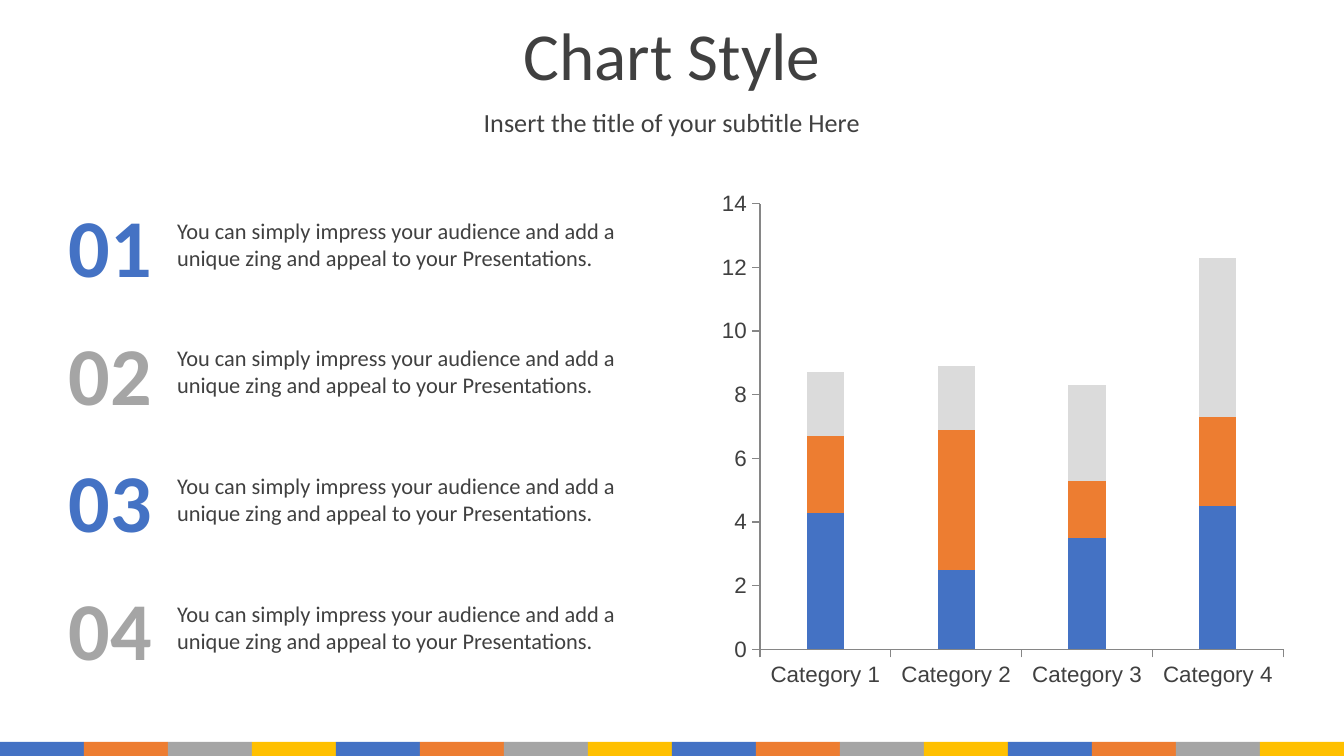
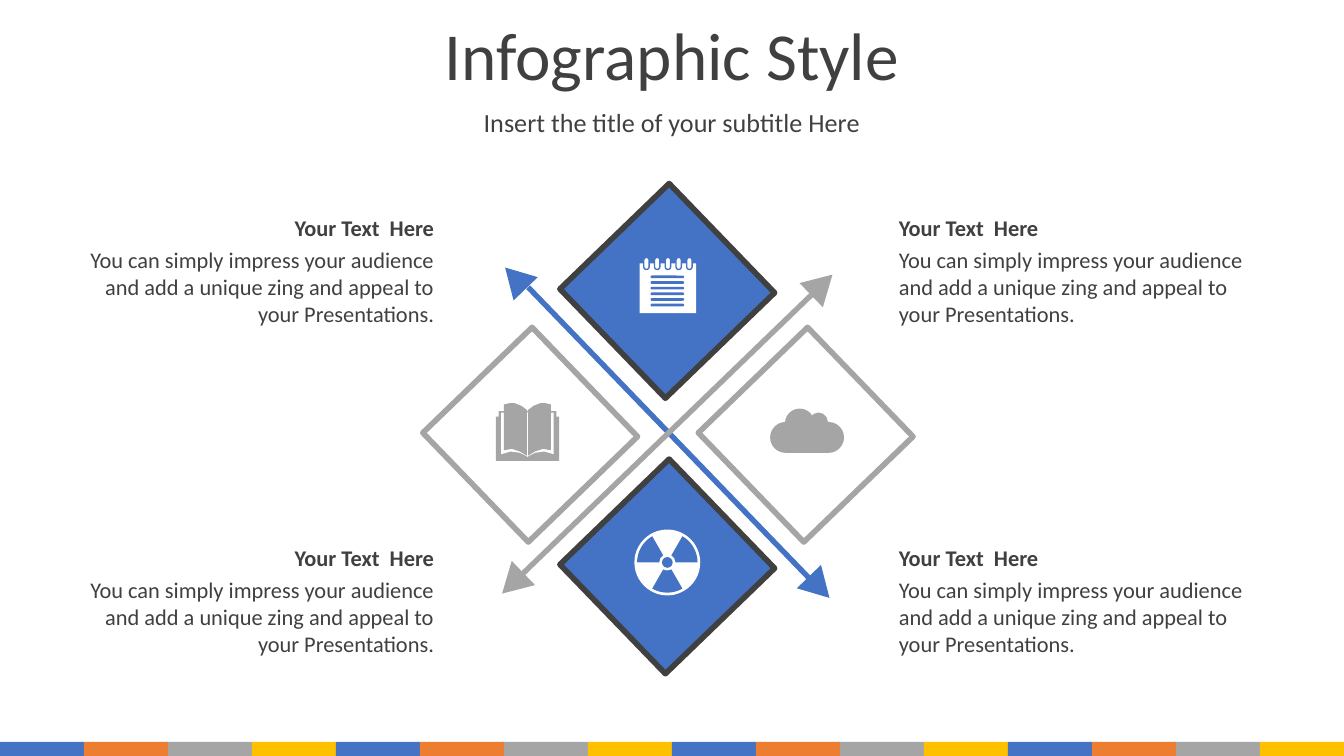
from lxml import etree
from pptx import Presentation
from pptx.chart.data import CategoryChartData
from pptx.dml.color import RGBColor
from pptx.enum.chart import XL_CHART_TYPE as ChartType, XL_TICK_MARK as TickMark
from pptx.enum.shapes import MSO_SHAPE as Preset
from pptx.enum.text import MSO_ANCHOR as Anchor, MSO_AUTO_SIZE as AutoSize, PP_ALIGN as Align
from pptx.oxml.ns import qn
from pptx.util import Inches, Pt

COLORS = {
    "blue": "4472C4", "orange": "ED7D31", "gray": "A5A5A5", "yellow": "FFC000",
    "dark": "404040", "pale": "DBDBDB", "axis": "868686", "white": "FFFFFF",
}
FONT = "Calibri"
BODY = "You can simply impress your audience and add a unique zing and appeal to your Presentations."


def add_text(slide, box, text, size=12, color="dark", bold=False,
             align=Align.LEFT, anchor=Anchor.MIDDLE):
    shape = slide.shapes.add_textbox(*map(Inches, box))
    frame = shape.text_frame
    frame.word_wrap = True
    frame.auto_size = AutoSize.NONE
    frame.vertical_anchor = anchor
    paragraph = frame.paragraphs[0]
    paragraph.text = text
    paragraph.alignment = align
    paragraph.font.name = FONT
    paragraph.font.size = Pt(size)
    paragraph.font.bold = bold
    paragraph.font.color.rgb = RGBColor.from_string(COLORS[color])
    return paragraph


def add_shape(slide, preset, box, fill, line=None, width=3, rotation=0):
    shape = slide.shapes.add_shape(preset, *map(Inches, box))
    shape.shadow.inherit = False
    shape.rotation = rotation
    shape.fill.solid()
    shape.fill.fore_color.rgb = RGBColor.from_string(COLORS[fill])
    if line:
        shape.line.color.rgb = RGBColor.from_string(COLORS[line])
        shape.line.width = Pt(width)
    else:
        shape.line.fill.background()
    return shape


presentation = Presentation()
presentation.slide_width = Inches(10)
presentation.slide_height = Inches(5.625)

# Shared title, subtitle and footer band
slides = []
for title in ("Chart Style", "Infographic Style"):
    slide = presentation.slides.add_slide(presentation.slide_layouts[6])
    slides.append(slide)
    for index in range(16):
        color = ("blue", "orange", "gray", "yellow")[index % 4]
        add_shape(slide, Preset.RECTANGLE, (index * 0.625, 5.52, 0.625, 0.11), color)
    for box, text, size, spacing in (
        ((0, 0.14, 10, 0.63), title, 36, 0.8),
        ((0, 0.77, 10, 0.31), "Insert the title of your subtitle Here", 14, 0.9),
    ):
        paragraph = add_text(slide, box, text, size, align=Align.CENTER)
        paragraph.line_spacing = spacing
        paragraph.space_before = Pt(7.5)
chart_slide, infographic_slide = slides

# Slide 1: stacked column chart
chart_data = CategoryChartData()
chart_data.categories = [f"Category {number}" for number in range(1, 5)]
chart_data.add_series("Series 1", (4.3, 2.5, 3.5, 4.5))
chart_data.add_series("Series 2", (2.4, 4.4, 1.8, 2.8))
chart_data.add_series("Series 3", (2, 2, 3, 5))
chart = chart_slide.shapes.add_chart(
    ChartType.COLUMN_STACKED, *map(Inches, (5.24, 1.32, 4.41, 3.79)), chart_data).chart
chart.has_legend = False
chart.has_title = False
chart.font.name = FONT
chart.font.size = Pt(18)
plot = chart.plots[0]
plot.gap_width = 250
plot.overlap = 100
plot.vary_by_categories = False
for series, color in zip(plot.series, ("blue", "orange", "pale")):
    series.format.fill.solid()
    series.format.fill.fore_color.rgb = RGBColor.from_string(COLORS[color])
for axis in (chart.category_axis, chart.value_axis):
    axis.has_major_gridlines = False
    axis.major_tick_mark = TickMark.OUTSIDE
    axis.format.line.color.rgb = RGBColor.from_string(COLORS["axis"])
    axis.tick_labels.font.name = "Arial"
    axis.tick_labels.font.size = Pt(12)
    axis.tick_labels.font.color.rgb = RGBColor.from_string(COLORS["dark"])
chart.value_axis.minimum_scale = 0
chart.value_axis.maximum_scale = 14
chart.value_axis.major_unit = 2

# Fixed inner plot area
plot_area = chart.element.find(".//" + qn("c:plotArea"))
layout = plot_area.find(qn("c:layout"))
if layout is None:
    layout = etree.Element(qn("c:layout"))
    plot_area.insert(0, layout)
manual = etree.SubElement(layout, qn("c:manualLayout"))
for tag, value in (("layoutTarget", "inner"), ("xMode", "edge"), ("yMode", "edge"),
                   ("x", "0.094"), ("y", "0.052"), ("w", "0.883"), ("h", "0.879")):
    etree.SubElement(manual, qn("c:" + tag)).set("val", value)

# Numbered points
for index in range(4):
    top = 1.4 + index * 0.95
    add_text(chart_slide, (0.21, top, 1.22, 0.84), f"{index + 1:02}", 44,
             ("blue", "gray")[index % 2], True, Align.CENTER)
    add_text(chart_slide, (1.22, top + 0.165, 3.86, 0.5), BODY, anchor=Anchor.TOP)

# Slide 2: diamonds
for left, top, fill, line in (
    (4.4, 1.6, "blue", "dark"), (5.43, 2.67, "white", "gray"),
    (3.38, 2.67, "white", "gray"), (4.4, 3.65, "blue", "dark"),
):
    add_shape(infographic_slide, Preset.RECTANGLE, (left, top, 1.13, 1.13), fill, line, rotation=46)

# Crossed arrows
for rotation, color in ((46, "blue"), (136, "gray")):
    add_shape(infographic_slide, Preset.RECTANGLE, (3.47, 3.2, 3.01, 0.04), color, rotation=rotation)
for index, (left, top) in enumerate(((5.99, 2.01), (5.97, 4.26), (3.69, 4.23), (3.71, 1.96))):
    add_shape(infographic_slide, Preset.ISOSCELES_TRIANGLE, (left, top, 0.25, 0.22),
              ("gray", "blue")[index % 2], rotation=46 + 90 * index)

# Book icon: cover, then page backing and page mirrored about the spine
add_shape(infographic_slide, Preset.RECTANGLE, (3.69, 3.1, 0.47, 0.33), "gray")
add_shape(infographic_slide, Preset.RECTANGLE, (3.71, 3.06, 0.43, 0.05), "gray")
backing = ((3.73, 3.07), (3.93, 3.07), (3.93, 3.4), (3.87, 3.37), (3.8, 3.36), (3.73, 3.38))
page = ((3.75, 3.01), (3.79, 3), (3.83, 3), (3.88, 3.02), (3.92, 3.05),
        (3.92, 3.39), (3.87, 3.36), (3.81, 3.34), (3.75, 3.35))
for outline, color in ((backing, "white"), (page, "gray")):
    for mirrored in (False, True):
        points = [(Inches(7.85 - x if mirrored else x), Inches(y)) for x, y in outline]
        builder = infographic_slide.shapes.build_freeform(*points[0])
        builder.add_line_segments(points[1:], close=True)
        shape = builder.convert_to_shape()
        shape.shadow.inherit = False
        shape.fill.solid()
        shape.fill.fore_color.rgb = RGBColor.from_string(COLORS[color])
        shape.line.fill.background()

# Cloud icon
base = add_shape(infographic_slide, Preset.ROUNDED_RECTANGLE, (5.73, 3.14, 0.55, 0.23), "gray")
base.adjustments[0] = 0.5
for left, top, size in ((5.84, 3.04, 0.22), (6.02, 3.07, 0.14)):
    add_shape(infographic_slide, Preset.OVAL, (left, top, size, size), "gray")

# Notepad icon
add_shape(infographic_slide, Preset.RECTANGLE, (4.76, 1.96, 0.42, 0.37), "white")
for index in range(6):
    rule = add_shape(infographic_slide, Preset.ROUNDED_RECTANGLE,
                     (4.84, 2.05 + index * 0.042, 0.25, 0.02), "blue")
    rule.adjustments[0] = 0.5
for index in range(5):
    ring = add_shape(infographic_slide, Preset.ROUNDED_RECTANGLE,
                     (4.79 + index * 0.08, 1.915, 0.04, 0.09), "white", "blue", 0.75)
    ring.adjustments[0] = 0.5

# Radiation icon
add_shape(infographic_slide, Preset.OVAL, (4.72, 3.94, 0.49, 0.49), "white")
for start in (60, 180, 300):
    sector = add_shape(infographic_slide, Preset.PIE, (4.74, 3.96, 0.45, 0.45), "blue")
    sector.adjustments[0] = start * 0.6
    sector.adjustments[1] = (start + 60) % 360 * 0.6
for size, color in ((0.12, "white"), (0.08, "blue")):
    add_shape(infographic_slide, Preset.OVAL,
              (4.965 - size / 2, 4.185 - size / 2, size, size), color)

# Captions
for left, align in ((6.59, Align.LEFT), (0.43, Align.RIGHT)):
    for top in (1.54, 4):
        add_text(infographic_slide, (left, top + 0.235, 2.9, 0.71), BODY, align=align)
        add_text(infographic_slide, (left, top, 2.9, 0.3), "Your Text  Here", bold=True, align=align)

presentation.save("out.pptx")
